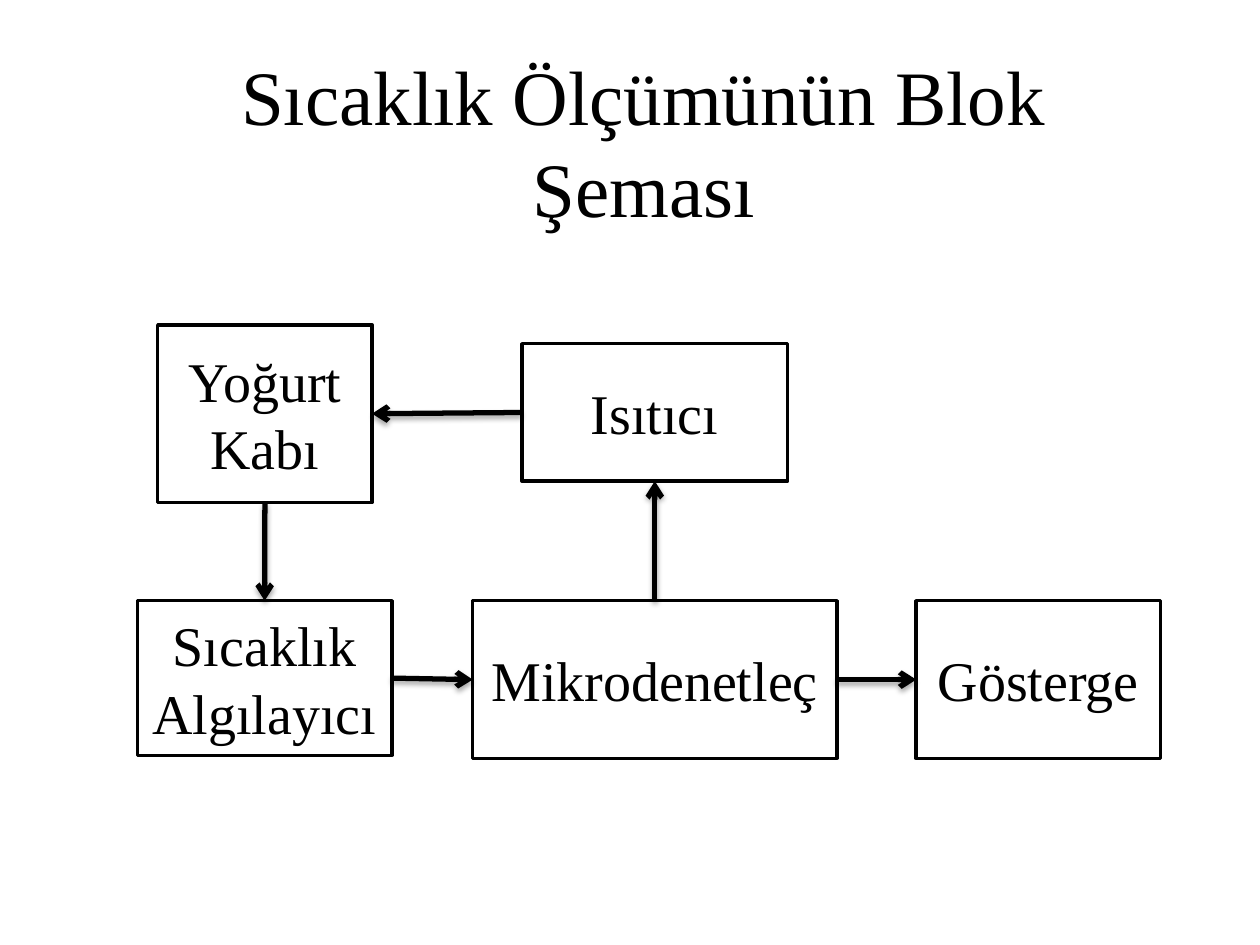
from lxml.etree import SubElement
from pptx import Presentation
from pptx.dml.color import RGBColor
from pptx.enum.shapes import MSO_CONNECTOR, MSO_SHAPE
from pptx.enum.text import MSO_ANCHOR, PP_ALIGN
from pptx.oxml.ns import qn
from pptx.util import Cm, Pt

COLORS = {"ink": "000000", "paper": "FFFFFF"}
FONT = "Times New Roman"
TOP, LEFT, BOTTOM, RIGHT = range(4)

BLOCKS = {
    "Sıcaklık Algılayıcı": (0, 5.56, 5.13, 3.12),
    "Mikrodenetleç": (6.76, 5.56, 7.34, 3.18),
    "Gösterge": (15.7, 5.56, 4.93, 3.18),
    "Yoğurt Kabı": (0.41, 0, 4.32, 3.58),
    "Isıtıcı": (7.75, 0.38, 5.36, 2.77),
}
FLOWS = [
    ("Yoğurt Kabı", BOTTOM, "Sıcaklık Algılayıcı", TOP),
    ("Sıcaklık Algılayıcı", RIGHT, "Mikrodenetleç", LEFT),
    ("Mikrodenetleç", RIGHT, "Gösterge", LEFT),
    ("Mikrodenetleç", TOP, "Isıtıcı", BOTTOM),
    ("Isıtıcı", LEFT, "Yoğurt Kabı", RIGHT),
]


def color(name):
    return RGBColor.from_string(COLORS[name])


def write(frame, text, size):
    frame.text = text
    frame.word_wrap = True
    frame.vertical_anchor = MSO_ANCHOR.MIDDLE
    paragraph = frame.paragraphs[0]
    paragraph.alignment = PP_ALIGN.CENTER
    font = paragraph.runs[0].font
    font.name = FONT
    font.size = Pt(size)
    font.color.rgb = color("ink")


def add_title(slide, left, top, width, height):
    title = slide.shapes.add_textbox(Cm(left), Cm(top), Cm(width), Cm(height))
    title.text_frame.margin_left = title.text_frame.margin_right = Cm(0.5)
    write(title.text_frame, "Sıcaklık Ölçümünün Blok Şeması", 44)


def add_block(slide, label, left, top, width, height):
    block = slide.shapes.add_shape(
        MSO_SHAPE.RECTANGLE, Cm(left), Cm(top), Cm(width), Cm(height)
    )
    block.shadow.inherit = False
    block.fill.solid()
    block.fill.fore_color.rgb = color("paper")
    block.line.color.rgb = color("ink")
    block.line.width = Pt(2)
    write(block.text_frame, label, 32)
    return block


def add_flow(slide, source, source_side, target, target_side):
    flow = slide.shapes.add_connector(MSO_CONNECTOR.STRAIGHT, 0, 0, 0, 0)
    flow.begin_connect(source, source_side)
    flow.end_connect(target, target_side)
    flow.line.color.rgb = color("ink")
    flow.line.width = Pt(3)
    SubElement(flow.line._get_or_add_ln(), qn("a:tailEnd"), type="arrow")
    effects = SubElement(flow._element.spPr, qn("a:effectLst"))
    shadow = SubElement(
        effects, qn("a:outerShdw"), blurRad=str(Pt(3.1)), dist=str(Pt(1.8)),
        dir="5400000", rotWithShape="0",
    )
    tint = SubElement(shadow, qn("a:srgbClr"), val=COLORS["ink"])
    SubElement(tint, qn("a:alpha"), val="35000")


def add_diagram(slide, left, top):
    blocks = {
        label: add_block(slide, label, left + x, top + y, width, height)
        for label, (x, y, width, height) in BLOCKS.items()
    }
    for source, source_side, target, target_side in FLOWS:
        add_flow(slide, blocks[source], source_side, blocks[target], target_side)


def main():
    presentation = Presentation()
    presentation.slide_width = Cm(25.4)
    presentation.slide_height = Cm(19.05)
    slide = presentation.slides.add_slide(presentation.slide_layouts[6])
    add_title(slide, 2.18, 0.79, 21.59, 4.09)
    add_diagram(slide, 2.77, 6.55)
    presentation.save("out.pptx")


if __name__ == "__main__":
    main()
